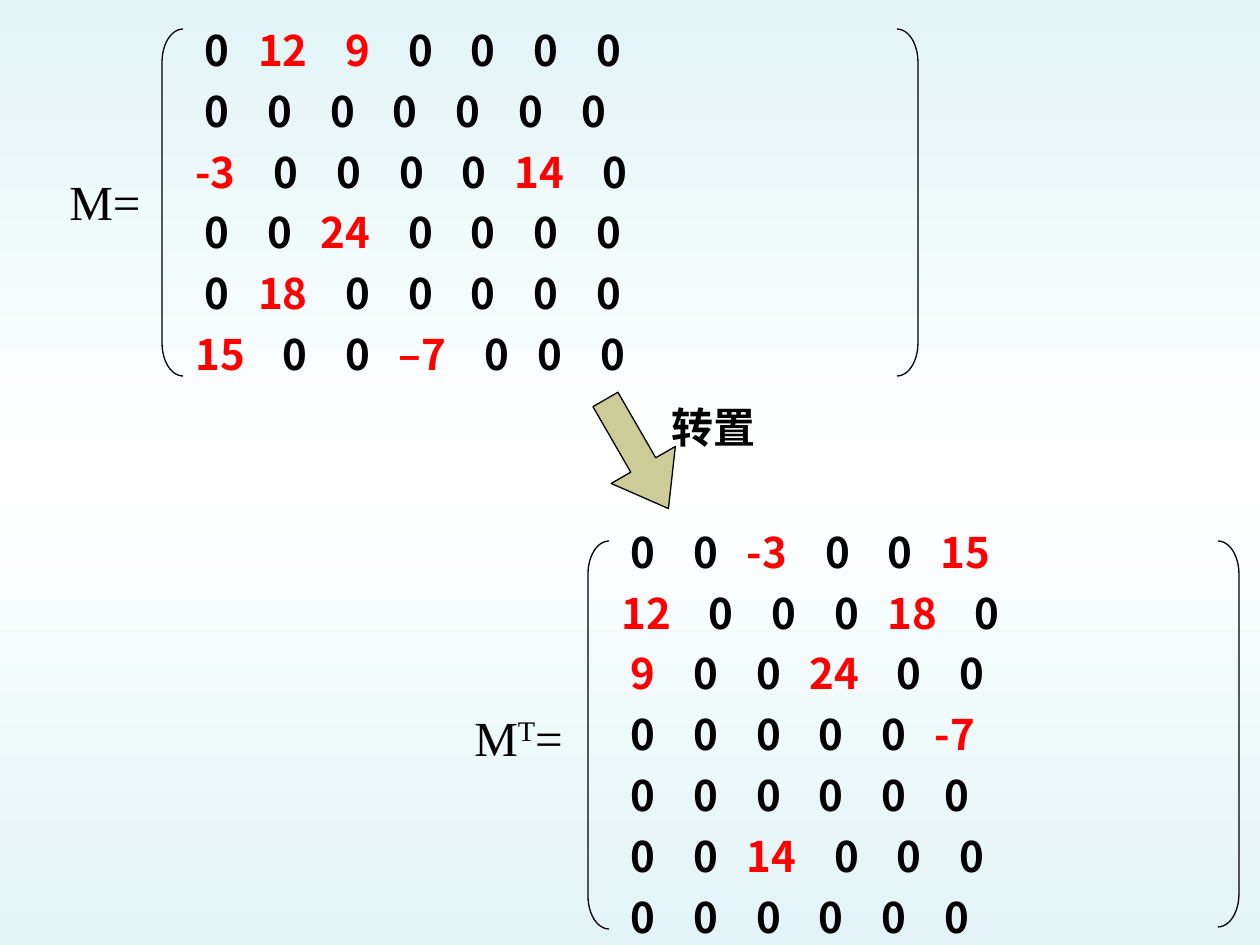
from lxml import etree
from pptx import Presentation
from pptx import util as u
from pptx.dml.color import RGBColor
from pptx.enum import shapes, text
from pptx.oxml import ns, parse_xml

PX = 914400 // 126
BLACK = RGBColor(0x00, 0x00, 0x00)
RED = RGBColor(0xFF, 0x00, 0x00)
KHAKI = RGBColor(0xCC, 0xCC, 0x99)
PALE = RGBColor(0xE2, 0xF4, 0xF6)
WHITE = RGBColor(0xFF, 0xFF, 0xFF)
SERIF, SANS = "Times New Roman", "Noto Sans CJK SC"

# Width of a 24 pt bold space, in points
SPACE = 5.4

# "<" pulls an entry one space to the left
M_ROWS = [
    "0 12 9 0 0 0 0",
    "0 0 0 0 0 0 0",
    "-3 0 0 0 0 14 0",
    "0 0 24 0 0 0 0",
    "0 18 0 0 0 0 0",
    "15 0 0 –7 0 <0 0",
]
MT_ROWS = [
    "0 0 -3 0 0 15",
    "12 0 0 0 18 0",
    "9 0 0 24 0 0",
    "0 0 0 0 0 -7",
    "0 0 0 0 0 0",
    "0 0 14 0 0 0",
    "0 0 0 0 0 0",
]


def px(value):
    return u.Emu(round(value * PX))


def paint_background(slide):
    stops = "".join(
        f'<a:gs pos="{pos}"><a:srgbClr val="{color}"/></a:gs>'
        for pos, color in ((0, PALE), (50000, WHITE), (100000, PALE)))
    gradient = parse_xml(
        f'<a:gradFill {ns.nsdecls("a")} rotWithShape="1"><a:gsLst>{stops}</a:gsLst>'
        '<a:lin ang="5400000" scaled="0"/></a:gradFill>')
    fill = slide.background.fill
    fill.solid()
    solid = slide.background._cSld.find(".//" + ns.qn("a:solidFill"))
    solid.getparent().replace(solid, gradient)


def add_box(slide, left, top, width, height, inset=True):
    frame = slide.shapes.add_textbox(px(left), px(top), px(width), px(height)).text_frame
    frame.word_wrap = True
    if not inset:
        frame.margin_left = frame.margin_right = frame.margin_top = frame.margin_bottom = 0
    return frame


def add_text(paragraph, content, size=24, font=SERIF, color=BLACK, bold=False,
             raised=False, spacing=0):
    run = paragraph.add_run()
    run.text = content
    run.font.size = u.Pt(size)
    run.font.name = font
    run.font.bold = bold
    run.font.color.rgb = color
    props = run._r.get_or_add_rPr()
    if raised:
        props.set("baseline", "30000")
    if spacing:
        props.set("spc", str(round(spacing * 100)))
    latin = props.find(ns.qn("a:latin"))
    latin.addnext(etree.Element(ns.qn("a:ea"), typeface=SANS))


def add_outline(slide, preset, left, top, width, height, adjustments, fill=None):
    shape = slide.shapes.add_shape(preset, px(left), px(top), px(width), px(height))
    shape.shadow.inherit = False
    for index, value in enumerate(adjustments):
        shape.adjustments[index] = value
    if fill is None:
        shape.fill.background()
    else:
        shape.fill.solid()
        shape.fill.fore_color.rgb = fill
    shape.line.color.rgb = BLACK
    shape.line.width = u.Pt(0.75)
    return shape


def add_row(paragraph, row):
    """Entries stand four spaces apart; wide ones start one space early."""
    for column, token in enumerate(row.split()):
        value = token.lstrip("<")
        early = len(value) > 1 or token != value
        if column:
            add_text(paragraph, " ", font=SANS, bold=True,
                     spacing=SPACE * (2 if early else 3))
        else:
            props = paragraph._p.get_or_add_pPr()
            props.set("marL", "0")
            props.set("indent", str(0 if early else u.Pt(SPACE)))
        add_text(paragraph, value, font=SANS, bold=True,
                 color=BLACK if value == "0" else RED)


def add_matrix(slide, rows, left, top, width, height):
    frame = add_box(slide, left, top, width, height)
    for index, row in enumerate(rows):
        paragraph = frame.paragraphs[0] if index == 0 else frame.add_paragraph()
        if index:
            paragraph.space_before = u.Pt(6)
        add_row(paragraph, row)


def add_brackets(slide, left, right, top, left_height, right_height):
    kinds = shapes.MSO_SHAPE
    add_outline(slide, kinds.LEFT_BRACKET, left, top, 21, left_height, [1.57])
    add_outline(slide, kinds.RIGHT_BRACKET, right, top, 21, right_height, [1.57])


def main():
    deck = Presentation()
    deck.slide_width, deck.slide_height = px(1260), px(945)
    slide = deck.slides.add_slide(deck.slide_layouts[6])
    paint_background(slide)

    # Matrix M
    add_brackets(slide, 162, 897, 29, 347, 347)
    label = add_box(slide, 57, 165, 105, 72).paragraphs[0]
    add_text(label, "M=", size=28)
    add_matrix(slide, M_ROWS, 183, 18, 725, 368)

    # Transposition step
    caption = add_box(slide, 672, 389, 105, 63, inset=False)
    caption.vertical_anchor = text.MSO_ANCHOR.BOTTOM
    add_text(caption.paragraphs[0], "转置", bold=True)
    arrow = add_outline(slide, shapes.MSO_SHAPE.DOWN_ARROW, 600, 391, 74, 126,
                        [0.39, 0.68], fill=KHAKI)
    arrow.rotation = 330

    # Transposed matrix
    add_brackets(slide, 588, 1218, 541, 388, 386)
    label = add_box(slide, 462, 701, 126, 72).paragraphs[0]
    add_text(label, "M", size=28)
    add_text(label, "T", size=28, raised=True)
    add_text(label, "=", size=28)
    add_matrix(slide, MT_ROWS, 609, 520, 640, 428)

    deck.save("out.pptx")


if __name__ == "__main__":
    main()
